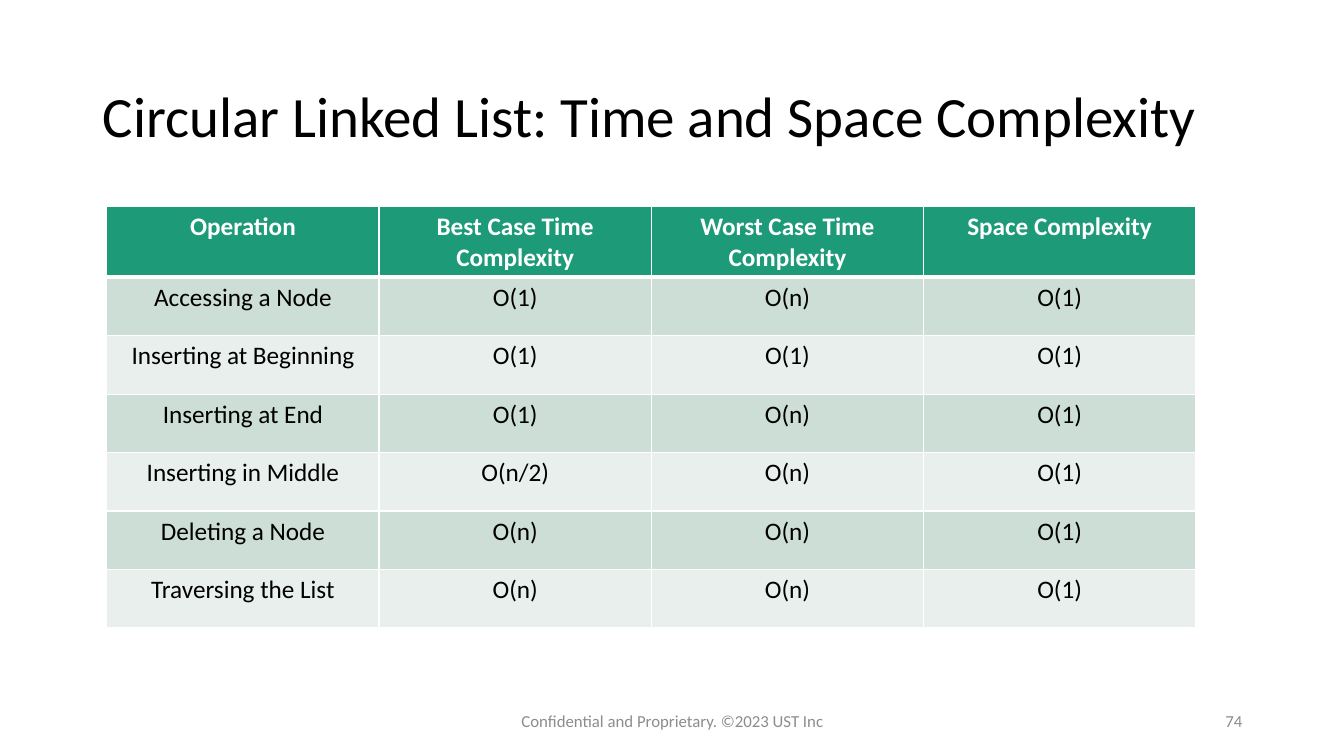
from lxml import etree
from pptx import Presentation
from pptx import util as u
from pptx.dml.color import RGBColor
from pptx.enum import text
from pptx.oxml import ns

HEADINGS = ["Operation", "Best Case Time Complexity",
            "Worst Case Time Complexity", "Space Complexity"]
OPERATIONS = [
    ("Accessing a Node", "O(1)", "O(n)", "O(1)"),
    ("Inserting at Beginning", "O(1)", "O(1)", "O(1)"),
    ("Inserting at End", "O(1)", "O(n)", "O(1)"),
    ("Inserting in Middle", "O(n/2)", "O(n)", "O(1)"),
    ("Deleting a Node", "O(n)", "O(n)", "O(1)"),
    ("Traversing the List", "O(n)", "O(n)", "O(1)"),
]


def colour(value):
    return RGBColor.from_string(value)


def write(frame, words, size=18, color="000000", bold=False, align="CENTER", spacing=1.0):
    frame.word_wrap = True
    paragraph = frame.paragraphs[0]
    paragraph.alignment = getattr(text.PP_ALIGN, align)
    paragraph.line_spacing = spacing
    run = paragraph.add_run()
    run.text = words
    run.font.name = "Calibri"
    run.font.size = u.Pt(size)
    run.font.bold = bold
    run.font.color.rgb = colour(color)


class ComplexitySlide:
    """Holds the style and the current slide, with a method per kind of element."""

    header_fill = "1D9A78"
    band_fills = ("CDDED6", "E8EFEC")
    white = "FFFFFF"
    grey = "8C8C8C"

    def __init__(self, deck):
        self.slide = deck.slides.add_slide(deck.slide_layouts[5])

    def title(self, words, left, top, width, height):
        heading = self.slide.shapes.title
        heading.left, heading.top = u.Inches(left), u.Inches(top)
        heading.width, heading.height = u.Inches(width), u.Inches(height)
        frame = heading.text_frame
        frame.auto_size = text.MSO_AUTO_SIZE.NONE
        frame.vertical_anchor = text.MSO_ANCHOR.BOTTOM
        write(frame, words, size=40.7, align="LEFT", spacing=0.9)

    def footer(self, words, left, width, align):
        note = self.slide.shapes.add_textbox(
            u.Inches(left), u.Inches(6.95), u.Inches(width), u.Inches(0.4))
        note.text_frame.vertical_anchor = text.MSO_ANCHOR.MIDDLE
        write(note.text_frame, words, size=12, color=self.grey, align=align)

    def border(self, cell, side, points):
        properties = cell._tc.get_or_add_tcPr()
        line = etree.SubElement(properties, ns.qn(f"a:ln{side}"), w=str(u.Pt(points)))
        fill = etree.SubElement(line, ns.qn("a:solidFill"))
        etree.SubElement(fill, ns.qn("a:srgbClr"), val=self.white)

    def table(self, rows, left, top, column_width, header_height, row_height):
        columns = len(rows[0])
        heights = [header_height] + [row_height] * (len(rows) - 1)
        grid = self.slide.shapes.add_table(
            len(rows), columns, u.Inches(left), u.Inches(top),
            u.Inches(column_width * columns), u.Inches(sum(heights))).table
        for column in grid.columns:
            column.width = u.Inches(column_width)
        for index, (words, height) in enumerate(zip(rows, heights)):
            grid.rows[index].height = u.Inches(height)
            is_header = index == 0
            fill = self.header_fill if is_header else self.band_fills[(index - 1) % 2]
            for cell, entry in zip(grid.rows[index].cells, words):
                write(cell.text_frame, entry, bold=is_header,
                      color=self.white if is_header else "000000")
                for side in "LRTB":
                    under_header = (index, side) in ((0, "B"), (1, "T"))
                    self.border(cell, side, 3 if under_header else 1)
                cell.fill.solid()
                cell.fill.fore_color.rgb = colour(fill)


def main():
    deck = Presentation()
    deck.slide_width, deck.slide_height = u.Inches(13.33), u.Inches(7.5)
    page = ComplexitySlide(deck)
    page.footer("Confidential and Proprietary. ©2023 UST Inc", 4.42, 4.5, "CENTER")
    page.footer("74", 9.42, 3, "RIGHT")
    page.title("Circular Linked List: Time and Space Complexity", 0.92, 0.58, 11.5, 0.96)
    page.table([HEADINGS] + OPERATIONS, 1.06, 2.05, column_width=2.7,
               header_height=0.7, row_height=0.58)
    deck.save("out.pptx")


if __name__ == "__main__":
    main()
